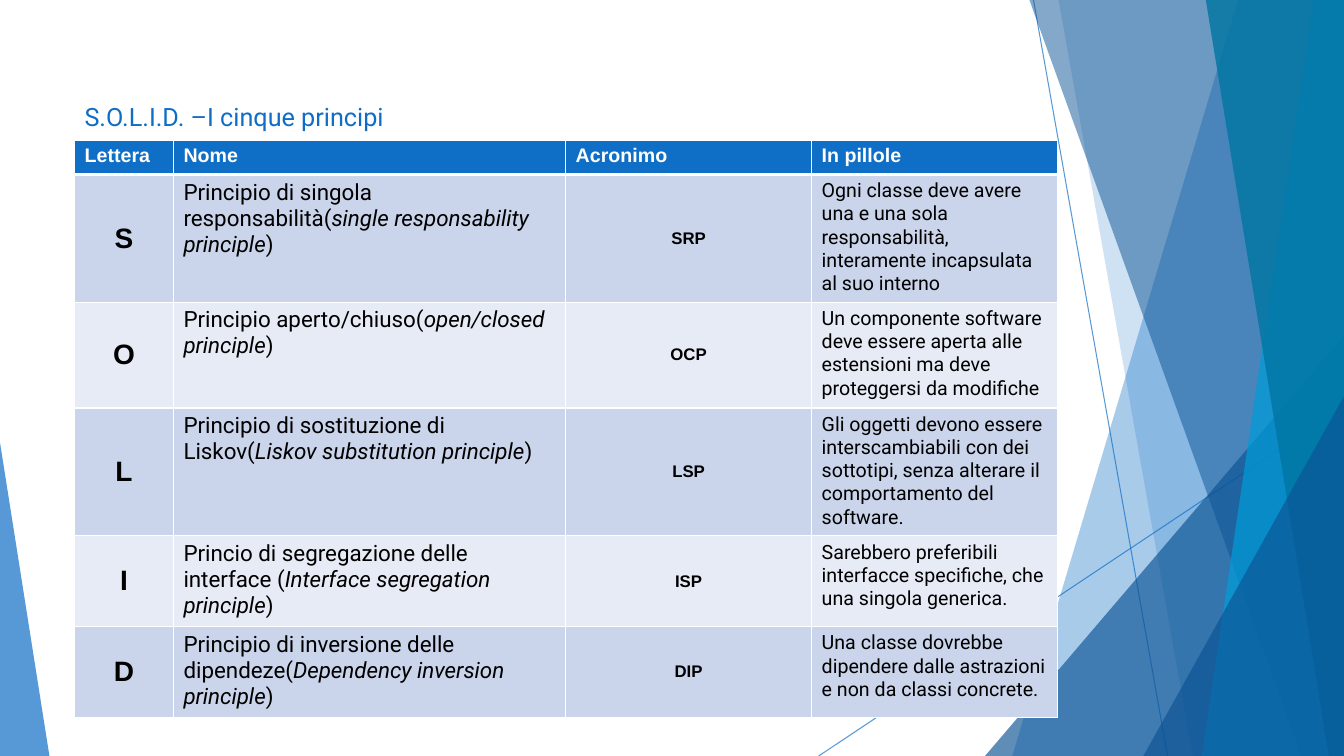
from typing import NamedTuple

from lxml import etree
from pptx import Presentation
from pptx.dml.color import RGBColor
from pptx.enum.shapes import MSO_CONNECTOR, MSO_SHAPE
from pptx.enum.text import MSO_ANCHOR, PP_ALIGN
from pptx.oxml.ns import qn
from pptx.util import Inches, Pt

STRAIGHT = MSO_CONNECTOR.STRAIGHT
TRIANGLE = MSO_SHAPE.ISOSCELES_TRIANGLE
TOP, MIDDLE = MSO_ANCHOR.TOP, MSO_ANCHOR.MIDDLE
LEFT, CENTER = PP_ALIGN.LEFT, PP_ALIGN.CENTER

WIDTH, HEIGHT = 13.33, 7.5
COLORS = {
    "blue": "0F6FC6", "title": "0E6EC5", "navy": "0B5394", "sky": "009DD9",
    "teal": "0075A2", "white": "FFFFFF", "black": "000000",
    "odd": "CAD4EA", "even": "E6EBF5",
}


class Ray(NamedTuple):
    start: tuple[float, float]
    end: tuple[float, float]


class Band(NamedTuple):
    top_left: float
    bottom_left: float
    color: str
    opacity: int


class Wedge(NamedTuple):
    left: float
    top: float
    width: float
    apex: float
    color: str
    opacity: int


class Principle(NamedTuple):
    letter: str
    name: str
    english: str
    acronym: str
    summary: str


class Style(NamedTuple):
    font: dict[str, object]
    color: str = "black"
    alignment: PP_ALIGN = LEFT
    anchor: MSO_ANCHOR = TOP


RAYS = [Ray((10.25, 0), (11.58, HEIGHT)), Ray((WIDTH, 4.03), (8.12, HEIGHT))]
DECORATIONS = [
    Band(12.28, 10.04, "blue", 36),
    Band(10.5, 11.83, "blue", 20),
    Wedge(9.77, 3.33, 3.56, 1, "navy", 66),
    Band(10.21, 12.91, "navy", 50),
    Band(13.03, 11.92, "sky", 70),
    Band(11.96, 13.18, "teal", 80),
    Wedge(11.34, 3.93, 1.99, 1, "navy", 66),
    Wedge(0, 4.39, 0.49, 0, "blue", 70),
]
HEADERS = ["Lettera", "Nome", "Acronimo", "In pillole"]
PRINCIPLES = [
    Principle("S", "Principio di singola responsabilità(", "single responsability principle", "SRP",
              "Ogni classe deve avere una e una sola responsabilità, interamente incapsulata al suo interno"),
    Principle("O", "Principio aperto/chiuso(", "open/closed principle", "OCP",
              "Un componente software deve essere aperta alle estensioni ma deve proteggersi da modifiche"),
    Principle("L", "Principio di sostituzione di Liskov(", "Liskov substitution principle", "LSP",
              "Gli oggetti devono essere interscambiabili con dei sottotipi, "
              "senza alterare il comportamento del software."),
    Principle("I", "Princio di segregazione delle interface (", "Interface segregation principle", "ISP",
              "Sarebbero preferibili interfacce specifiche, che una singola generica."),
    Principle("D", "Principio di inversione delle dipendeze(", "Dependency inversion principle", "DIP",
              "Una classe dovrebbe dipendere dalle astrazioni e non da classi concrete."),
]
COLUMN_WIDTHS = [0.98, 3.89, 2.44, 2.44]
ROW_HEIGHTS = [0.34, 1.25, 1.05, 1.25, 0.86, 0.86]

TITLE = Style({"name": "Roboto", "size": Pt(18), "bold": False}, "title")
HEADER = Style({"name": "Arial", "size": Pt(14), "bold": True}, "white")
LETTER = Style({"name": "Arial", "size": Pt(20), "bold": True}, "black", CENTER, MIDDLE)
NAME = Style({"name": "Roboto", "size": Pt(16), "bold": False})
ACRONYM = Style({"name": "Arial", "size": Pt(12), "bold": True}, "black", CENTER, MIDDLE)
SUMMARY = Style({"name": "Roboto", "size": Pt(14), "bold": False})


def rgb(color: str) -> RGBColor:
    return RGBColor.from_string(COLORS[color])


def set_opacity(shape, opacity: int) -> None:
    for color in shape.element.spPr.iter(qn("a:srgbClr")):
        etree.SubElement(color, qn("a:alpha"), val=str(opacity * 1000))


def draw_ray(slide, ray: Ray) -> None:
    points = [Inches(value) for value in ray.start + ray.end]
    connector = slide.shapes.add_connector(STRAIGHT, *points)
    connector.line.color.rgb = rgb("blue")
    connector.line.width = Pt(0.75)
    set_opacity(connector, 70)
    etree.SubElement(connector.element.spPr, qn("a:effectLst"))


def draw_decoration(slide, item: Band | Wedge) -> None:
    if isinstance(item, Band):
        corners = [(WIDTH, 0), (WIDTH, HEIGHT), (item.bottom_left, HEIGHT)]
        builder = slide.shapes.build_freeform(Inches(item.top_left), 0)
        builder.add_line_segments([(Inches(x), Inches(y)) for x, y in corners])
        shape = builder.convert_to_shape()
    else:
        box = (item.left, item.top, item.width, HEIGHT - item.top)
        shape = slide.shapes.add_shape(TRIANGLE, *map(Inches, box))
        shape.adjustments[0] = item.apex
    shape.shadow.inherit = False
    shape.fill.solid()
    shape.fill.fore_color.rgb = rgb(item.color)
    shape.line.fill.background()
    set_opacity(shape, item.opacity)


def write(paragraph, text: str, style: Style, italic: bool = False) -> None:
    paragraph.alignment = style.alignment
    run = paragraph.add_run()
    run.text = text
    for attribute, value in (style.font | {"italic": italic}).items():
        setattr(run.font, attribute, value)
    run.font.color.rgb = rgb(style.color)


def draw_title(slide) -> None:
    box = slide.shapes.add_textbox(*map(Inches, (0.74, 0.67, 9.4, 1.44)))
    frame = box.text_frame
    frame.word_wrap = True
    frame.margin_top = Inches(0.34)
    write(frame.paragraphs[0], "S.O.L.I.D. –I cinque principi", TITLE)


def format_cell(cell, fill: str, bottom_width: float) -> None:
    properties = cell._tc.get_or_add_tcPr()
    for side, width in {"L": 1, "R": 1, "T": 1, "B": bottom_width}.items():
        border = etree.SubElement(properties, qn(f"a:ln{side}"), w=str(Pt(width)))
        solid = etree.SubElement(border, qn("a:solidFill"))
        etree.SubElement(solid, qn("a:srgbClr"), val=COLORS["white"])
    cell.fill.solid()
    cell.fill.fore_color.rgb = rgb(fill)


def fill_cell(cell, text: str, style: Style, fill: str, bottom_width: float = 1, english: str = "") -> None:
    format_cell(cell, fill, bottom_width)
    cell.vertical_anchor = style.anchor
    paragraph = cell.text_frame.paragraphs[0]
    write(paragraph, text, style)
    if english:
        write(paragraph, english, style, italic=True)
        write(paragraph, ")", style)


def draw_table(slide) -> None:
    box = (0.74, 1.39, sum(COLUMN_WIDTHS), sum(ROW_HEIGHTS))
    frame = slide.shapes.add_table(len(ROW_HEIGHTS), len(COLUMN_WIDTHS), *map(Inches, box))
    table = frame.table
    for column, width in zip(table.columns, COLUMN_WIDTHS):
        column.width = Inches(width)
    for row, height in zip(table.rows, ROW_HEIGHTS):
        row.height = Inches(height)
    for index, header in enumerate(HEADERS):
        fill_cell(table.cell(0, index), header, HEADER, "blue", 3)
    for index, principle in enumerate(PRINCIPLES, start=1):
        fill = "odd" if index % 2 else "even"
        letter, name, acronym, summary = table.rows[index].cells
        fill_cell(letter, principle.letter, LETTER, fill)
        fill_cell(name, principle.name, NAME, fill, english=principle.english)
        fill_cell(acronym, principle.acronym, ACRONYM, fill)
        fill_cell(summary, principle.summary, SUMMARY, fill)


def main() -> None:
    presentation = Presentation()
    presentation.slide_width = Inches(WIDTH)
    presentation.slide_height = Inches(HEIGHT)
    slide = presentation.slides.add_slide(presentation.slide_layouts[6])
    for ray in RAYS:
        draw_ray(slide, ray)
    for item in DECORATIONS:
        draw_decoration(slide, item)
    draw_title(slide)
    draw_table(slide)
    presentation.save("out.pptx")


if __name__ == "__main__":
    main()
